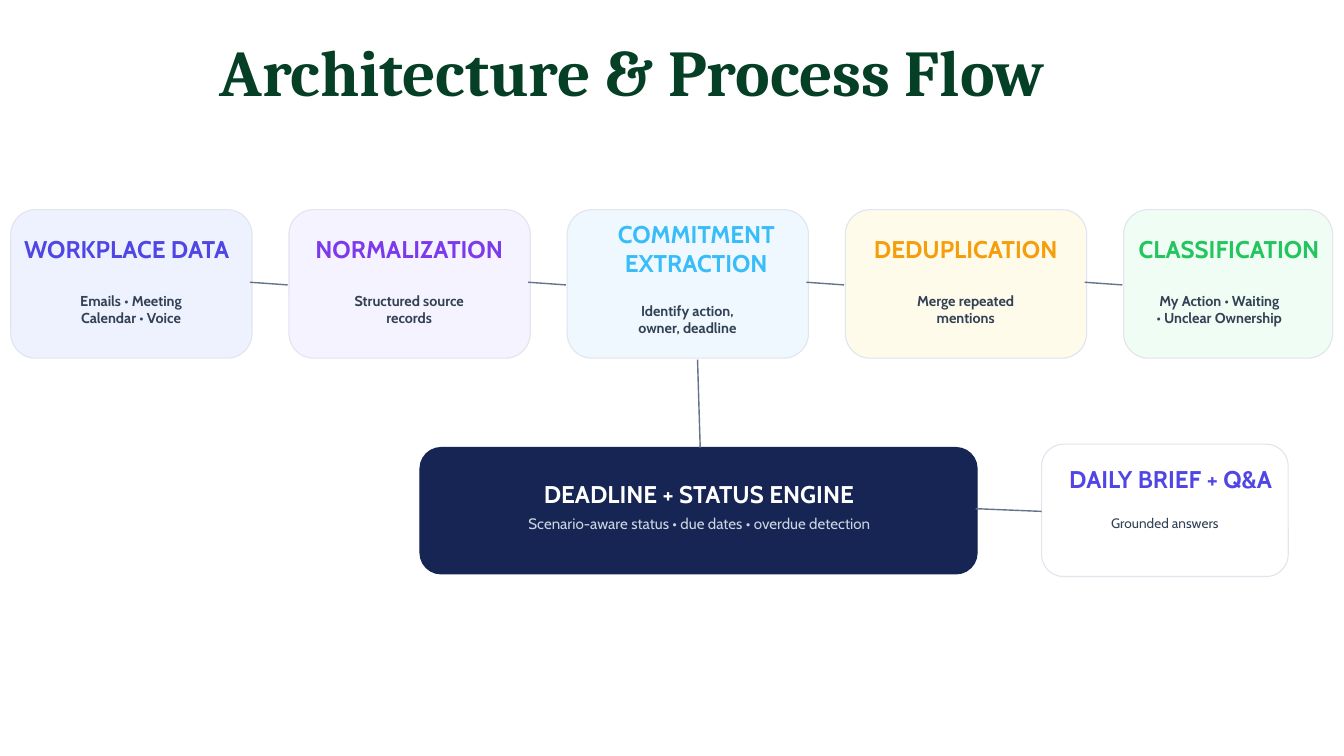
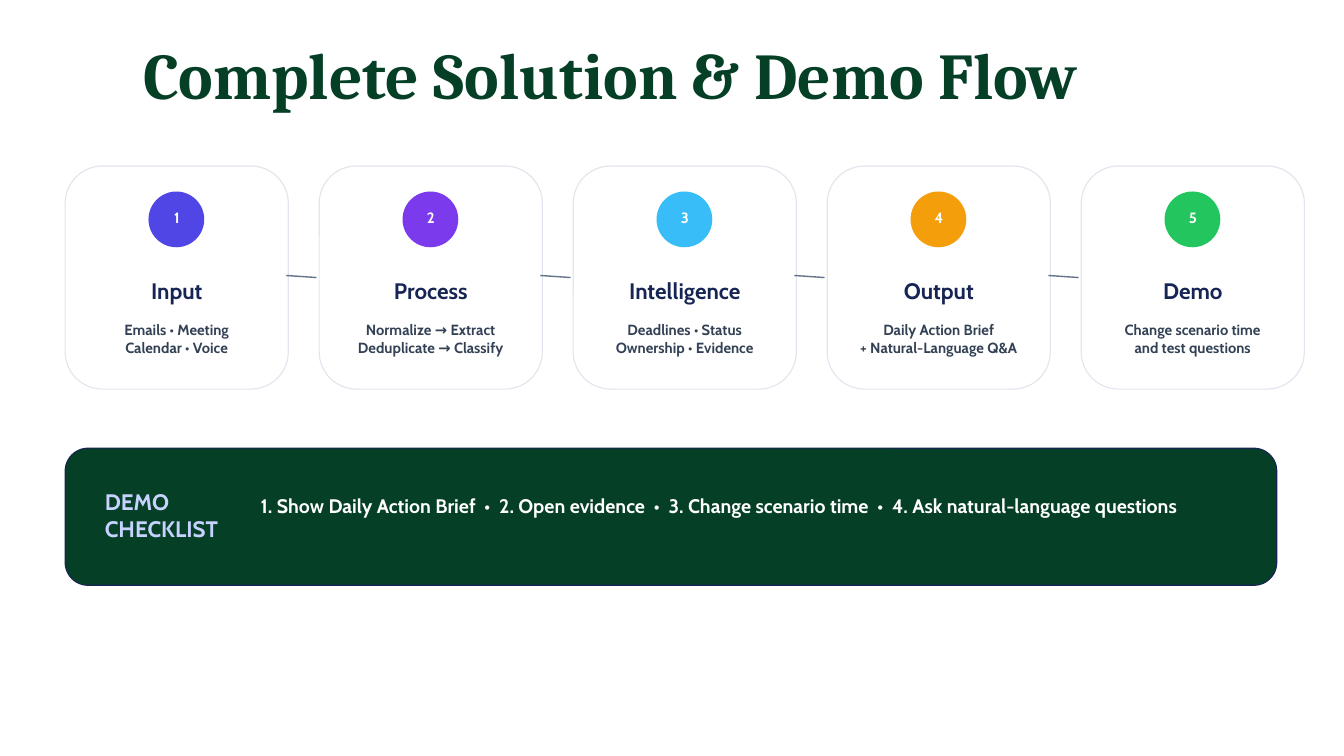
from lxml import etree
from pptx import Presentation
from pptx.dml.color import RGBColor
from pptx.enum.shapes import MSO_CONNECTOR, MSO_SHAPE
from pptx.enum.text import PP_ALIGN
from pptx.oxml.ns import qn
from pptx.util import Inches, Pt

GREEN, NAVY, SLATE, WHITE = "053F26", "172554", "334155", "FFFFFF"
BORDER, CONNECTOR = "E1E5EE", "64748B"
ACCENTS = ["4F46E5", "7C3AED", "38BDF8", "F59E0B", "22C55E"]
HEADING = dict(size=25.9, spacing=31.1)
rgb = RGBColor.from_string


def add_text(s, text, x, y, w, h, size=16, spacing=19.2, color=SLATE,
             font="Cabin", bold=True, align=PP_ALIGN.CENTER, wrap=True):
    """Add a text box without margins; each line of text is a paragraph."""
    tf = s.shapes.add_textbox(Inches(x), Inches(y), Inches(w), Inches(h)).text_frame
    tf.margin_left = tf.margin_right = tf.margin_top = tf.margin_bottom = 0
    tf.word_wrap = wrap
    for i, line in enumerate(text.split("\n")):
        p = tf.paragraphs[0] if i == 0 else tf.add_paragraph()
        p.alignment = align
        p.line_spacing = Pt(spacing)
        r = p.add_run()
        r.text = line
        r.font.name = font
        r.font.size = Pt(size)
        r.font.bold = bold
        r.font.color.rgb = rgb(color)


def add_panel(s, x, y, w, h, fill, line=BORDER, shape=MSO_SHAPE.ROUNDED_RECTANGLE):
    sp = s.shapes.add_shape(shape, Inches(x), Inches(y), Inches(w), Inches(h))
    sp.shadow.inherit = False
    sp.fill.solid()
    sp.fill.fore_color.rgb = rgb(fill)
    if line:
        sp.line.color.rgb = rgb(line)
        sp.line.width = Pt(1.2)
    else:
        sp.line.fill.background()


prs = Presentation()
prs.slide_width, prs.slide_height = Inches(20), Inches(11.25)
flow, demo = [prs.slides.add_slide(prs.slide_layouts[6]) for _ in range(2)]
for s, title, x, y, w in [
    (flow, "Architecture & Process Flow", 3.27, 0.66, 14.48),
    (demo, "Complete Solution & Demo Flow", 2.13, 0.71, 15.91),
]:
    add_text(s, title, x, y, w, 1.01, size=70, spacing=70, color=GREEN,
             font="Cambria", align=PP_ALIGN.LEFT)

# Architecture: five stages; name and detail boxes are offset from the card
stages = [
    # name, detail, fill, card width, name offset, name width, detail width
    ("WORKPLACE DATA", "Emails • Meeting\nCalendar • Voice", "EEF2FF", 3.59, 0.1, 3.25, 2.96),
    ("NORMALIZATION", "Structured source\nrecords", "F5F3FF", 3.59, 0.31, 2.96, 2.96),
    ("COMMITMENT\nEXTRACTION", "Identify action,\nowner, deadline", "EFF8FF", 3.59, 0.31, 3.22, 2.96),
    ("DEDUPLICATION", "Merge repeated\nmentions", "FFFBEB", 3.59, 0.31, 2.96, 2.96),
    ("CLASSIFICATION", "My Action • Waiting\n• Unclear Ownership", "F0FDF4", 3.11, 0.02, 3.1, 2.23),
]
lines = []
for i, (name, detail, fill, card_w, name_dx, name_w, detail_w) in enumerate(stages):
    x = 0.16 + 4.14 * i
    two_lines = "\n" in name
    add_panel(flow, x, 3.12, card_w, 2.21, fill)
    add_text(flow, name, x + name_dx, 3.26 if two_lines else 3.48, name_w,
             0.86 if two_lines else 0.43, color=ACCENTS[i], **HEADING)
    add_text(flow, detail, x + 0.31, 4.49 if two_lines else 4.35, detail_w, 0.62,
             size=15.4, spacing=18.5)
    if i:
        lines.append((flow, x - 0.58, 4.2, x - 0.02, 4.24))

# Architecture: engine and daily brief
add_panel(flow, 6.25, 6.66, 8.29, 1.88, NAVY, line=NAVY)
add_text(flow, "DEADLINE + STATUS ENGINE", 8.06, 7.13, 4.68, 0.43, color=WHITE, **HEADING)
add_text(flow, "Scenario-aware status • due dates • overdue detection", 6.86, 7.66, 7.09, 0.3,
         size=16.2, spacing=19.5, color="CBD5E1", bold=False)
add_panel(flow, 15.5, 6.61, 3.67, 1.97, WHITE)
add_text(flow, "DAILY BRIEF + Q&A", 15.86, 6.91, 3.12, 0.43, color=ACCENTS[0], **HEADING)
add_text(flow, "Grounded answers", 15.94, 7.66, 2.79, 0.3, size=14.6, spacing=17.5, bold=False)
lines += [(flow, 10.38, 5.35, 10.42, 6.66), (flow, 14.52, 7.57, 15.5, 7.61)]

# Demo: five numbered steps
steps = [
    ("Input", "Emails • Meeting\nCalendar • Voice", 0.8),
    ("Process", "Normalize → Extract\nDeduplicate → Classify", 1.23),
    ("Intelligence", "Deadlines • Status\nOwnership • Evidence", 1.8),
    ("Output", "Daily Action Brief\n+ Natural-Language Q&A", 1.07),
    ("Demo", "Change scenario time\nand test questions", 0.91),
]
for i, (name, detail, name_w) in enumerate(steps):
    x = 0.97 + 3.78 * i
    center = x + 1.66
    add_panel(demo, x, 2.47, 3.32, 3.32, WHITE)
    add_panel(demo, x + 1.24, 2.85, 0.83, 0.83, ACCENTS[i], line=None, shape=MSO_SHAPE.OVAL)
    add_text(demo, str(i + 1), center - 0.06, 3.11, 0.12, 0.26, color=WHITE)
    add_text(demo, name, center - name_w / 2, 4.13, name_w, 0.4, size=24, spacing=28.8,
             color=NAVY, wrap=False)
    add_text(demo, detail, center - 1.25, 4.78, 2.5, 0.73, size=15.8, spacing=18.9)
    if i:
        lines.append((demo, x - 0.49, 4.1, x - 0.04, 4.13))

# Demo: checklist band
add_panel(demo, 0.97, 6.67, 18.03, 2.04, GREEN, line=NAVY)
add_text(demo, "DEMO CHECKLIST", 1.56, 7.26, 2.13, 0.79, size=24, spacing=28.8,
         color="C7D2FE", align=PP_ALIGN.LEFT)
checks = ["Show Daily Action Brief", "Open evidence", "Change scenario time",
          "Ask natural-language questions"]
add_text(demo, "  •  ".join(f"{n}. {check}" for n, check in enumerate(checks, 1)),
         3.88, 7.35, 14.29, 0.7, size=21, spacing=25.2, color=WHITE, align=PP_ALIGN.LEFT)

for s, *ends in lines:
    c = s.shapes.add_connector(MSO_CONNECTOR.STRAIGHT, *[Inches(v) for v in ends])
    c.line.color.rgb = rgb(CONNECTOR)
    c.line.width = Pt(1.5)
    etree.SubElement(c._element.spPr, qn("a:effectLst"))

prs.save("out.pptx")
